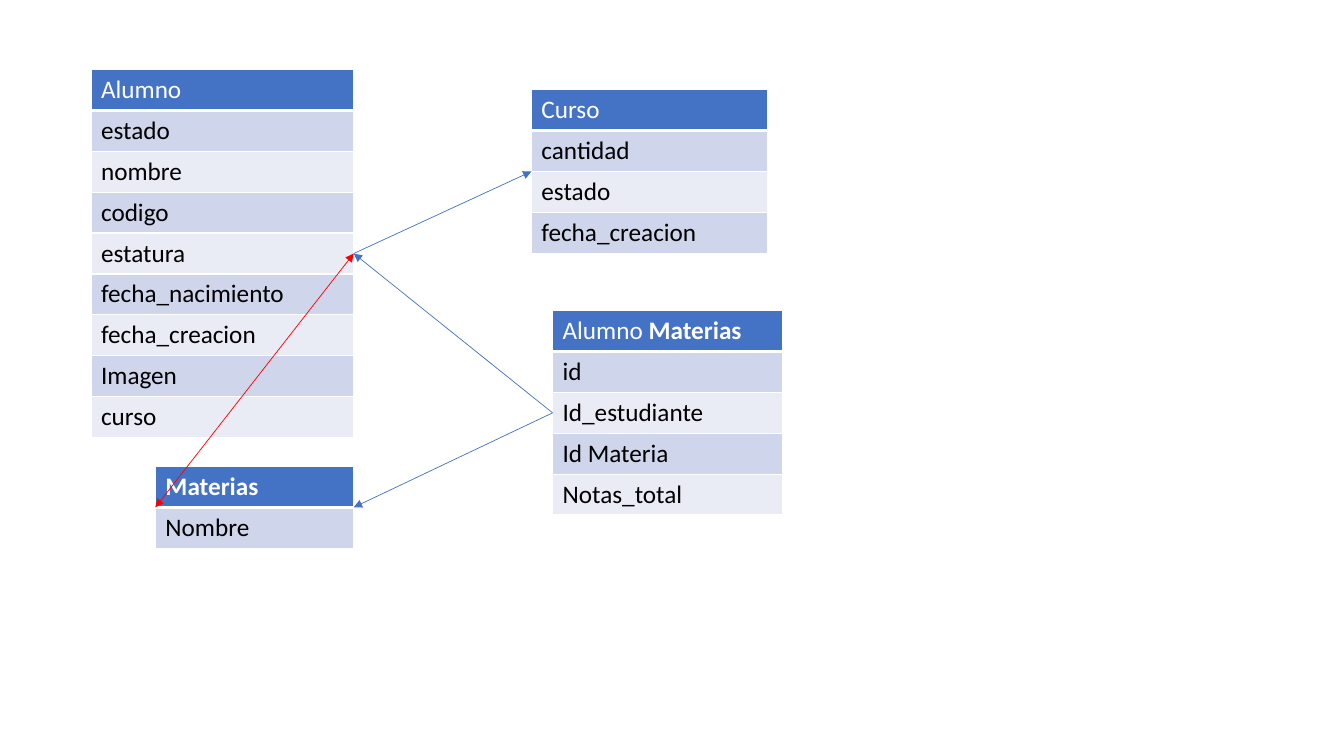
from dataclasses import dataclass

from lxml.etree import SubElement
from pptx import Presentation
from pptx.dml.color import RGBColor as RGB
from pptx.enum.shapes import MSO_CONNECTOR as LINK
from pptx.oxml.ns import qn
from pptx.util import Pt


@dataclass(frozen=True)
class Theme:
    font: str = "Calibri"
    size: float = 18
    blue: str = "4472C4"
    red: str = "FF0000"
    white: str = "FFFFFF"
    black: str = "000000"
    bands: tuple = ("CFD5EA", "E9EBF5")
    row: float = 29.2
    thin: float = 1
    thick: float = 3
    link: float = 0.5


THEME = Theme()


@dataclass(frozen=True)
class Box:
    """Entity table; each header part is a text and its bold flag."""
    left: float
    top: float
    width: float
    head: tuple
    fields: tuple

    @property
    def middle(self):
        return self.top + THEME.row * (len(self.fields) + 1) / 2

    @property
    def west(self):
        return self.left, self.middle

    @property
    def east(self):
        return self.left + self.width, self.middle


STUDENT = Box(65, 49.7, 187.7, (("Alumno", False),),
              ("estado", "nombre", "codigo", "estatura", "fecha_nacimiento",
               "fecha_creacion", "Imagen", "curso"))
COURSE = Box(379.6, 64.1, 169, (("Curso", False),),
             ("cantidad", "estado", "fecha_creacion"))
SUBJECT = Box(111, 333.2, 141.7, (("Materias", True),), ("Nombre",))
JOIN = Box(394.7, 221.9, 164.6, (("Alumno ", False), ("Materias", True)),
           ("id", "Id_estudiante", "Id Materia", "Notas_total"))


def add_border(cell, sides):
    """Draw white edges; sides maps an edge letter to its width."""
    props = cell._tc.get_or_add_tcPr()
    for side, width in sides.items():
        edge = SubElement(props, qn(f"a:ln{side}"), w=str(Pt(width)))
        fill = SubElement(edge, qn("a:solidFill"))
        SubElement(fill, qn("a:srgbClr"), val=THEME.white)


def fill_cell(cell, parts, fill, color, sides):
    add_border(cell, sides)
    cell.fill.solid()
    cell.fill.fore_color.rgb = RGB.from_string(fill)
    for text, bold in parts:
        run = cell.text_frame.paragraphs[0].add_run()
        run.text = text
        style = {"name": THEME.font, "size": Pt(THEME.size), "bold": bold}
        for key, value in style.items():
            setattr(run.font, key, value)
        run.font.color.rgb = RGB.from_string(color)


def add_box(slide, box):
    rows = [box.head] + [((field, False),) for field in box.fields]
    place = [Pt(n) for n in (box.left, box.top, box.width,
                             THEME.row * len(rows))]
    table = slide.shapes.add_table(len(rows), 1, *place).table
    for i, parts in enumerate(rows):
        table.rows[i].height = Pt(THEME.row)
        sides = dict.fromkeys("LRTB", THEME.thin)
        if i == 0:
            fill, color = THEME.blue, THEME.white
            sides["B"] = THEME.thick
        else:
            fill, color = THEME.bands[(i - 1) % 2], THEME.black
            if i == 1:
                sides["T"] = THEME.thick
        fill_cell(table.cell(i, 0), parts, fill, color, sides)


def add_link(slide, start, end, color, ends=("tail",)):
    points = [Pt(n) for n in (*start, *end)]
    link = slide.shapes.add_connector(LINK.STRAIGHT, *points)
    link.line.width = Pt(THEME.link)
    link.line.color.rgb = RGB.from_string(color)
    props = link.element.spPr
    for name in ends:
        SubElement(props.find(qn("a:ln")), qn(f"a:{name}End"),
                   type="triangle")
    SubElement(props, qn("a:effectLst"))


def main():
    deck = Presentation()
    deck.slide_width, deck.slide_height = Pt(960), Pt(540)
    slide = deck.slides.add_slide(deck.slide_layouts[6])
    add_box(slide, STUDENT)
    add_box(slide, COURSE)
    add_link(slide, STUDENT.east, COURSE.west, THEME.blue)
    add_box(slide, SUBJECT)
    add_link(slide, STUDENT.east, SUBJECT.west, THEME.red, ("head", "tail"))
    add_box(slide, JOIN)
    for box in (STUDENT, SUBJECT):
        add_link(slide, JOIN.west, box.east, THEME.blue)
    deck.save("out.pptx")


if __name__ == "__main__":
    main()
